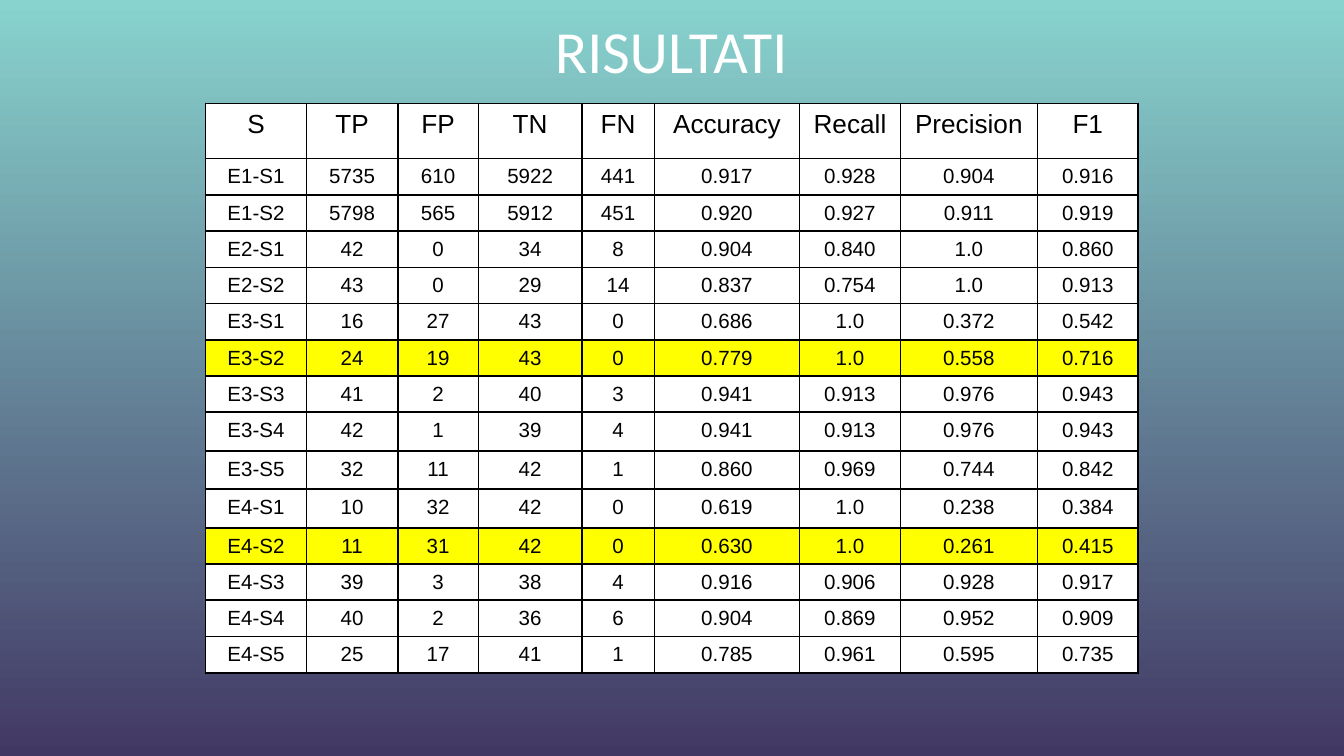
"""Build the results slide with its table of scores."""
import pptx
import pptx.dml.color
import pptx.enum.text
import pptx.oxml
import pptx.oxml.ns
import pptx.util
from pptx.util import Inches

BLACK = pptx.dml.color.RGBColor(0x00, 0x00, 0x00)
WHITE = pptx.dml.color.RGBColor(0xFF, 0xFF, 0xFF)
YELLOW = pptx.dml.color.RGBColor(0xFF, 0xFF, 0x00)
AQUA = pptx.dml.color.RGBColor(0x88, 0xD3, 0xCE)
PURPLE = pptx.dml.color.RGBColor(0x42, 0x38, 0x64)

COLUMN_WIDTHS = [0.75, 0.68, 0.6, 0.77, 0.54, 1.08, 0.75, 1.02, 0.75]
ROW_HEIGHTS = [0.41] + [0.27] * 7 + [0.29, 0.28, 0.29] + [0.27] * 4
HIGHLIGHTED = {"E3-S2", "E4-S2"}
RESULTS = [
    ["S", "TP", "FP", "TN", "FN", "Accuracy", "Recall", "Precision", "F1"],
    ["E1-S1", "5735", "610", "5922", "441", "0.917", "0.928", "0.904", "0.916"],
    ["E1-S2", "5798", "565", "5912", "451", "0.920", "0.927", "0.911", "0.919"],
    ["E2-S1", "42", "0", "34", "8", "0.904", "0.840", "1.0", "0.860"],
    ["E2-S2", "43", "0", "29", "14", "0.837", "0.754", "1.0", "0.913"],
    ["E3-S1", "16", "27", "43", "0", "0.686", "1.0", "0.372", "0.542"],
    ["E3-S2", "24", "19", "43", "0", "0.779", "1.0", "0.558", "0.716"],
    ["E3-S3", "41", "2", "40", "3", "0.941", "0.913", "0.976", "0.943"],
    ["E3-S4", "42", "1", "39", "4", "0.941", "0.913", "0.976", "0.943"],
    ["E3-S5", "32", "11", "42", "1", "0.860", "0.969", "0.744", "0.842"],
    ["E4-S1", "10", "32", "42", "0", "0.619", "1.0", "0.238", "0.384"],
    ["E4-S2", "11", "31", "42", "0", "0.630", "1.0", "0.261", "0.415"],
    ["E4-S3", "39", "3", "38", "4", "0.916", "0.906", "0.928", "0.917"],
    ["E4-S4", "40", "2", "36", "6", "0.904", "0.869", "0.952", "0.909"],
    ["E4-S5", "25", "17", "41", "1", "0.785", "0.961", "0.595", "0.735"],
]


def write_text(frame, text, *, size, font="Arial", color=BLACK):
    para = frame.paragraphs[0]
    para.alignment = pptx.enum.text.PP_ALIGN.CENTER
    span = para.add_run()
    span.text = text
    span.font.size = pptx.util.Pt(size)
    span.font.name = font
    span.font.color.rgb = color


def add_borders(cell, color=BLACK, width=1):
    properties = cell._tc.get_or_add_tcPr()
    for side in ("lnL", "lnR", "lnT", "lnB"):
        properties.append(pptx.oxml.parse_xml(
            f'<a:{side} {pptx.oxml.ns.nsdecls("a")} w="{pptx.util.Pt(width)}">'
            f'<a:solidFill><a:srgbClr val="{color}"/></a:solidFill></a:{side}>'))


class SlideBuilder:
    def __init__(self, page, title_size=32, header_size=14, body_size=11):
        self.page = page
        self.title_size = title_size
        self.header_size = header_size
        self.body_size = body_size

    def background(self, top, bottom):
        fill = self.page.background.fill
        fill.gradient()
        fill.gradient_angle = 270
        for stop, color in zip(fill.gradient_stops, (top, bottom)):
            stop.color.rgb = color

    def title(self, text, left, top, width, height):
        box = self.page.shapes.title
        box.left, box.top = Inches(left), Inches(top)
        box.width, box.height = Inches(width), Inches(height)
        frame = box.text_frame
        frame.auto_size = pptx.enum.text.MSO_AUTO_SIZE.NONE
        frame.vertical_anchor = pptx.enum.text.MSO_ANCHOR.TOP
        frame.margin_left = frame.margin_right = Inches(0.1)
        frame.margin_top = frame.margin_bottom = Inches(0.1)
        write_text(frame, text, size=self.title_size, font="Calibri", color=WHITE)

    def table(self, rows, left, top, widths, heights):
        table = self.page.shapes.add_table(
            len(rows), len(widths), Inches(left), Inches(top),
            Inches(sum(widths)), Inches(sum(heights))).table
        for column, width in zip(table.columns, widths):
            column.width = Inches(width)
        for index, (row, height, values) in enumerate(zip(table.rows, heights, rows)):
            row.height = Inches(height)
            size = self.body_size if index else self.header_size
            fill = YELLOW if values[0] in HIGHLIGHTED else WHITE
            for cell, value in zip(row.cells, values):
                self.cell(cell, value, size, fill)

    def cell(self, cell, text, size, fill):
        cell.margin_left = cell.margin_right = Inches(0.07)
        cell.margin_top, cell.margin_bottom = Inches(0.05), Inches(0.04)
        cell.vertical_anchor = pptx.enum.text.MSO_ANCHOR.TOP
        add_borders(cell)
        cell.fill.solid()
        cell.fill.fore_color.rgb = fill
        write_text(cell.text_frame, text, size=size)


def main():
    deck = pptx.Presentation()
    deck.slide_width = Inches(10)
    deck.slide_height = deck.slide_width * 9 // 16
    builder = SlideBuilder(deck.slides.add_slide(deck.slide_layouts[5]))
    builder.background(AQUA, PURPLE)
    builder.title("RISULTATI", 2.19, 0, 5.61, 0.63)
    builder.table(RESULTS, 1.53, 0.77, COLUMN_WIDTHS, ROW_HEIGHTS)
    deck.save("out.pptx")


if __name__ == "__main__":
    main()
